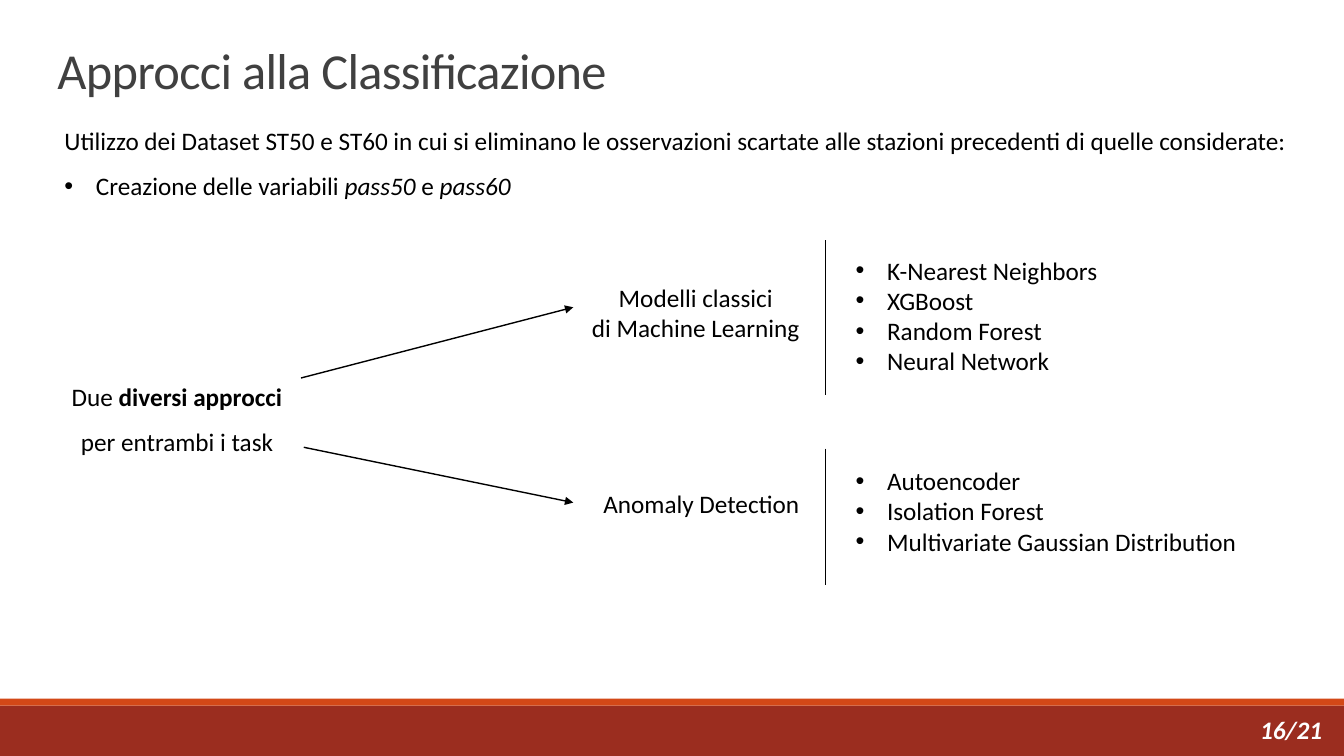
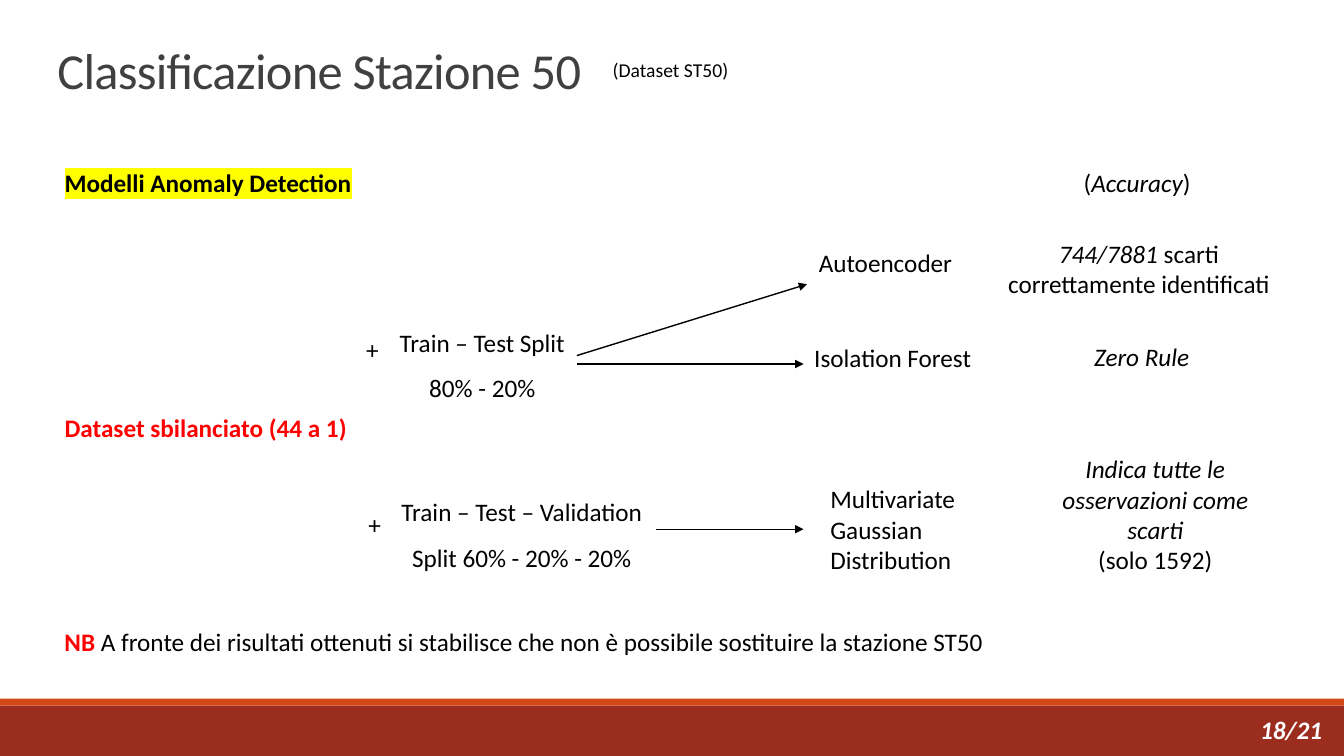
from lxml.etree import SubElement
from pptx import Presentation
from pptx.dml.color import RGBColor
from pptx.enum.shapes import MSO_CONNECTOR as CONN, MSO_SHAPE as SHAPE
from pptx.enum.text import MSO_ANCHOR as ANCHOR, PP_ALIGN as ALIGN
from pptx.oxml.ns import qn
from pptx.util import Pt

BLACK = RGBColor(0x00, 0x00, 0x00)
WHITE = RGBColor(0xFF, 0xFF, 0xFF)
GREY = RGBColor(0x40, 0x40, 0x40)
RED = RGBColor(0xFF, 0x00, 0x00)
BRICK = RGBColor(0x9B, 0x2D, 0x1F)
ORANGE = RGBColor(0xD3, 0x48, 0x17)
YELLOW = "FFFF00"

FONT = "Calibri"
WIDTH, HEIGHT = 960, 540
BAND_TOP, STRIPE = 504, 5
BULLET_INDENT = 22.5

BOLD = {"bold": True}
ITALIC = {"italic": True}
ALERT = {"bold": True, "color": RED}
PAGE = {"bold": True, "italic": True, "color": WHITE}
TITLE = {"size": 36, "color": GREY, "spacing": -0.5}
CENTER = {"alignment": ALIGN.CENTER}
LOOSE = {"line_spacing": 1.5}
TIGHT = {"line_spacing": 0.85}


def add_run(p, text, size=18, color=BLACK, spacing=None, highlight=None, **style):
    r = p.add_run()
    r.text = text
    r.font.color.rgb = color
    for name, value in {"name": FONT, "size": Pt(size), **style}.items():
        setattr(r.font, name, value)
    rPr = r.font._element
    if spacing:
        rPr.set("spc", str(round(spacing * 100)))
    if highlight:
        mark = SubElement(rPr, qn("a:highlight"))
        SubElement(mark, qn("a:srgbClr"), val=highlight)
        rPr.find(qn("a:latin")).addprevious(mark)


def add_bullet(p):
    pPr = p._p.get_or_add_pPr()
    indent = Pt(BULLET_INDENT)
    pPr.set("marL", str(indent))
    pPr.set("indent", str(-indent))
    SubElement(pPr, qn("a:buFont"), typeface="Arial")
    SubElement(pPr, qn("a:buChar"), char="•")


def add_text(slide, box, *paragraphs, bullets=(), anchor=ANCHOR.TOP, **layout):
    """Each paragraph is a string or a list of (text, style) runs;
    bullets holds the indexes of the bulleted paragraphs."""
    tf = slide.shapes.add_textbox(*map(Pt, box)).text_frame
    tf.word_wrap = True
    tf.vertical_anchor = anchor
    for i, runs in enumerate(paragraphs):
        p = tf.add_paragraph() if i else tf.paragraphs[0]
        for name, value in layout.items():
            setattr(p, name, value)
        if i in bullets:
            add_bullet(p)
        for text, style in [(runs, {})] if isinstance(runs, str) else runs:
            add_run(p, text, **style)


def add_list(slide, box, *items):
    add_text(slide, box, *items, bullets=range(len(items)))


def add_line(slide, x1, y1, x2, y2, arrow=False):
    line = slide.shapes.add_connector(CONN.STRAIGHT, *map(Pt, (x1, y1, x2, y2)))
    line.line.color.rgb = BLACK
    line.line.width = Pt(1)
    if arrow:
        SubElement(line.line._get_or_add_ln(), qn("a:tailEnd"), type="triangle")
    SubElement(line._element.spPr, qn("a:effectLst"))


def add_band(slide, top, height, color):
    sp = slide.shapes.add_shape(SHAPE.RECTANGLE, 0, Pt(top), Pt(WIDTH), Pt(height))
    sp.shadow.inherit = False
    sp.fill.solid()
    sp.fill.fore_color.rgb = color
    sp.line.fill.background()


def new_slide(prs, title, page):
    slide = prs.slides.add_slide(prs.slide_layouts[6])
    add_band(slide, BAND_TOP, HEIGHT - BAND_TOP, BRICK)
    add_band(slide, BAND_TOP - STRIPE, STRIPE, ORANGE)
    add_text(slide, (34, 19.5, 792, 55.5), [(title, TITLE)],
             anchor=ANCHOR.BOTTOM, **TIGHT)
    add_text(slide, (893, 507, 66, 29), [(page, PAGE)])
    return slide


def build_approaches(prs):
    slide = new_slide(prs, "Approcci alla Classificazione", "16/21")
    add_text(slide, (39, 75, 900, 74),
             "Utilizzo dei Dataset ST50 e ST60 in cui si eliminano le osservazioni "
             "scartate alle stazioni precedenti di quelle considerate:",
             [("Creazione delle variabili ", {}), ("pass50 ", ITALIC),
              ("e ", {}), ("pass60", ITALIC)],
             bullets=[1], **LOOSE)
    add_text(slide, (39.5, 258, 174, 69),
             [("Due ", {}), ("diversi approcci", BOLD)],
             "per entrambi i task", **CENTER, **LOOSE)

    add_text(slide, (410, 198, 174, 51),
             "Modelli classici", "di Machine Learning", **CENTER)
    add_text(slide, (414, 345, 174, 29), "Anomaly Detection", **CENTER)
    add_line(slide, 215, 270, 409.5, 219.5, arrow=True)
    add_line(slide, 217, 319.5, 409.5, 359, arrow=True)

    for top, bottom in ((171.5, 282), (320.5, 418)):
        add_line(slide, 589.5, top, 589.5, bottom)
    add_list(slide, (604, 178.5, 300, 94), "K-Nearest Neighbors", "XGBoost",
             "Random Forest", "Neural Network")
    add_list(slide, (604, 329, 300, 73), "Autoencoder", "Isolation Forest",
             "Multivariate Gaussian Distribution")


def build_station(prs):
    slide = new_slide(prs, "Classificazione Stazione 50", "18/21")
    add_text(slide, (430.5, 38, 110, 24), [("(Dataset ST50)", {"size": 14})])
    add_text(slide, (39, 105, 400, 40),
             [("Modelli Anomaly Detection", {"bold": True, "highlight": YELLOW})],
             **LOOSE)
    add_text(slide, (39, 291, 300, 29), [("Dataset sbilanciato (44 a 1)", ALERT)])

    for left, top in ((254.5, 235), (256, 360.5)):
        add_text(slide, (left, top, 28, 29), "+")
    add_text(slide, (277, 219.5, 135, 69), "Train – Test Split 80% - 20%",
             **CENTER, **LOOSE)
    add_text(slide, (277, 340.5, 191.5, 69),
             "Train – Test – Validation Split 60% - 20% - 20%", **CENTER, **LOOSE)
    for ends in ((412, 254, 576.5, 203), (412, 260, 574, 260),
                 (468.5, 378, 574, 378)):
        add_line(slide, *ends, arrow=True)

    add_text(slide, (574.5, 173, 116, 29), "Autoencoder", **CENTER)
    add_text(slide, (574.5, 241, 135, 29), "Isolation Forest")
    add_text(slide, (586, 342, 148, 73), "Multivariate Gaussian Distribution")

    add_text(slide, (767, 116, 93, 29),
             [("(", {}), ("Accuracy", ITALIC), (")", {})])
    add_text(slide, (711.5, 166.5, 204, 51),
             [("744/7881", ITALIC), (" scarti correttamente identificati", {})],
             **CENTER)
    add_text(slide, (713.5, 240, 204, 29), [("Zero Rule", ITALIC)], **CENTER)
    add_text(slide, (732, 320.5, 186.5, 94),
             [("Indica tutte le osservazioni come scarti", ITALIC)],
             "(solo 1592)", **CENTER)
    add_text(slide, (39, 444, 700, 29),
             [("NB ", ALERT),
              ("A fronte dei risultati ottenuti si stabilisce che non è possibile "
               "sostituire la stazione ST50", {})])


def main():
    prs = Presentation()
    prs.slide_width, prs.slide_height = Pt(WIDTH), Pt(HEIGHT)
    build_approaches(prs)
    build_station(prs)
    prs.save("out.pptx")


if __name__ == "__main__":
    main()
